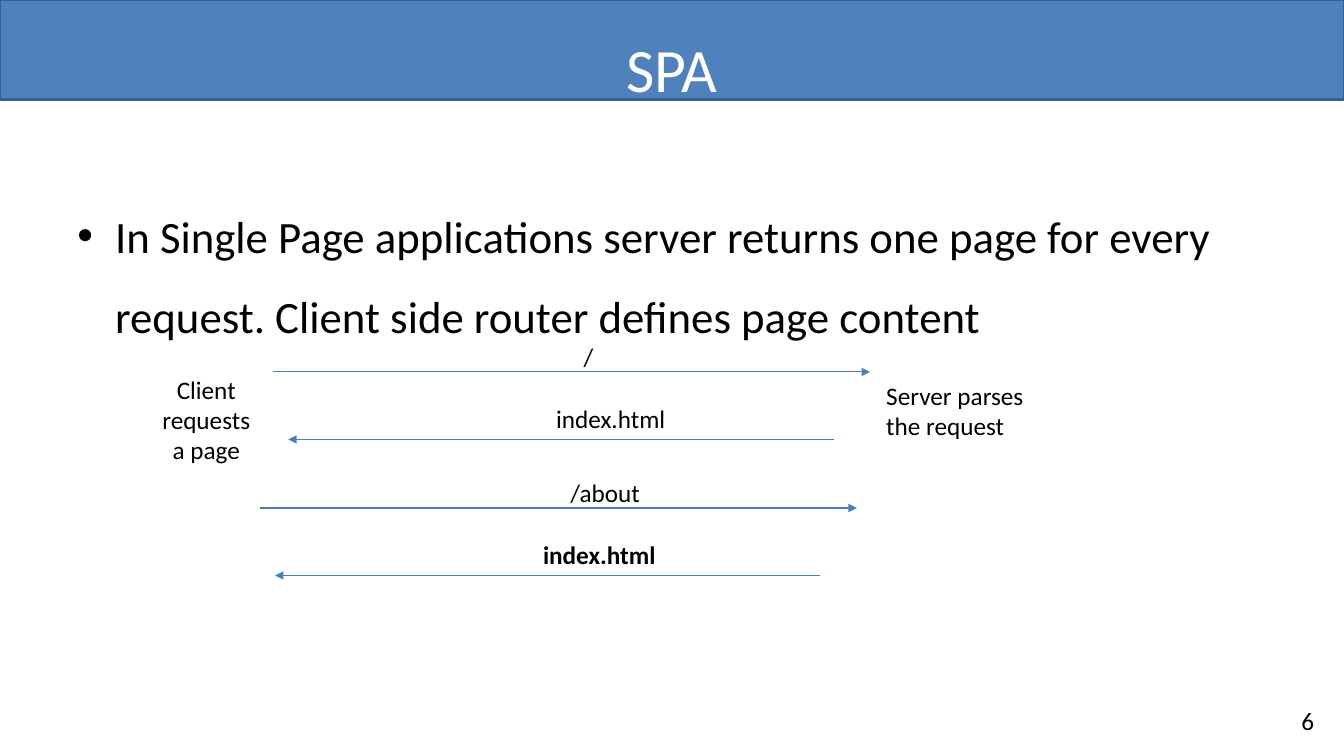
from pptx import Presentation
from pptx.dml.color import RGBColor
from pptx.enum.shapes import MSO_CONNECTOR as CONN, MSO_SHAPE as SHAPE
from pptx.enum.text import MSO_ANCHOR as ANCHOR, MSO_AUTO_SIZE as FIT, PP_ALIGN as ALIGN
from pptx.oxml.ns import qn
from pptx.util import Inches, Pt
from lxml.etree import SubElement


def rgb(value):
    return RGBColor.from_string(value)


class Deck:
    """Style and current slide; lengths are in cells of a 100 by 100 grid."""
    FONT = "Calibri"
    BLACK, WHITE = "000000", "FFFFFF"
    BAND, BAND_EDGE, ARROW = "4F81BD", "3A5F8C", "4B7EBC"

    def __init__(self):
        self.prs = Presentation()
        self.prs.slide_width, self.prs.slide_height = Inches(13.33), Inches(7.5)
        self.slide = self.prs.slides.add_slide(self.prs.slide_layouts[1])

    def grid(self, *cells):
        sizes = self.prs.slide_width, self.prs.slide_height
        return [round(c * sizes[i % 2] / 100) for i, c in enumerate(cells)]

    def set_text(self, sp, text, size=18, color=BLACK, bold=False, **para):
        tf = sp.text_frame
        tf.word_wrap = True
        tf.text = text
        p = tf.paragraphs[0]
        for name, value in para.items():
            setattr(p, name, value)
        style = {"name": self.FONT, "size": Pt(size), "bold": bold}
        for name, value in style.items():
            setattr(p.runs[0].font, name, value)
        p.runs[0].font.color.rgb = rgb(color)
        return tf

    def placeholder(self, idx, cells, text, anchor, **fmt):
        sp = self.slide.placeholders[idx]
        sp.left, sp.top, sp.width, sp.height = self.grid(*cells)
        tf = self.set_text(sp, text, **fmt)
        tf.auto_size, tf.vertical_anchor = FIT.NONE, anchor

    def band(self, *cells):
        sp = self.slide.shapes.add_shape(SHAPE.RECTANGLE, *self.grid(*cells))
        sp.shadow.inherit = False
        sp.fill.solid()
        sp.fill.fore_color.rgb = rgb(self.BAND)
        sp.line.color.rgb = rgb(self.BAND_EDGE)
        sp.line.width = Pt(2)
        # Send behind the placeholders
        self.slide.shapes._spTree.insert(2, sp._element)

    def label(self, cells, text, **fmt):
        sp = self.slide.shapes.add_textbox(*self.grid(*cells))
        self.set_text(sp, text, **fmt).auto_size = FIT.SHAPE_TO_FIT_TEXT

    def arrow(self, x1, x2, y):
        cx = self.slide.shapes.add_connector(CONN.STRAIGHT, *self.grid(x1, y, x2, y))
        cx.line.color.rgb = rgb(self.ARROW)
        cx.line.width = Pt(0.75)
        SubElement(cx.line._get_or_add_ln(), qn("a:tailEnd"), type="triangle")
        SubElement(cx._element.spPr, qn("a:effectLst"))


def main():
    deck = Deck()

    # Header and page number
    deck.band(0, 0, 100, 13.2)
    deck.placeholder(0, (5, 0.67, 90, 16.67), "SPA", ANCHOR.MIDDLE,
                     size=44, color=deck.WHITE, alignment=ALIGN.CENTER)
    deck.label((96.1, 92.67, 3.9, 5.33), "6")

    # Main statement
    deck.placeholder(1, (5, 23.33, 90, 66),
                     "In Single Page applications server returns one page for every "
                     "request. Client side router defines page content",
                     ANCHOR.TOP, size=32, line_spacing=1.5, space_before=Pt(0))

    # Two sides of the exchange
    deck.label((11.33, 48.8, 8.03, 13.47), "Client requests a page", alignment=ALIGN.CENTER)
    deck.label((65.2, 49.6, 13.2, 9.47), "Server parses the request")

    # Request and response pairs, each one a step down and slightly left
    for i, (route, bold) in enumerate([("/", False), ("/about", True)]):
        dx, dy = -0.98 * i, 18 * i
        deck.arrow(20.33 + dx, 64.73 + dx, 49.2 + dy)
        deck.label((42.68 + dx, 44.53 + dy, 11.1, 5.33), route)
        deck.arrow(62.03 + dx, 21.45 + dx, 58.13 + dy)
        deck.label((40.65 + dx, 52.67 + dy, 11.1, 5.33), "index.html", bold=bold)

    deck.prs.save("out.pptx")


if __name__ == "__main__":
    main()
